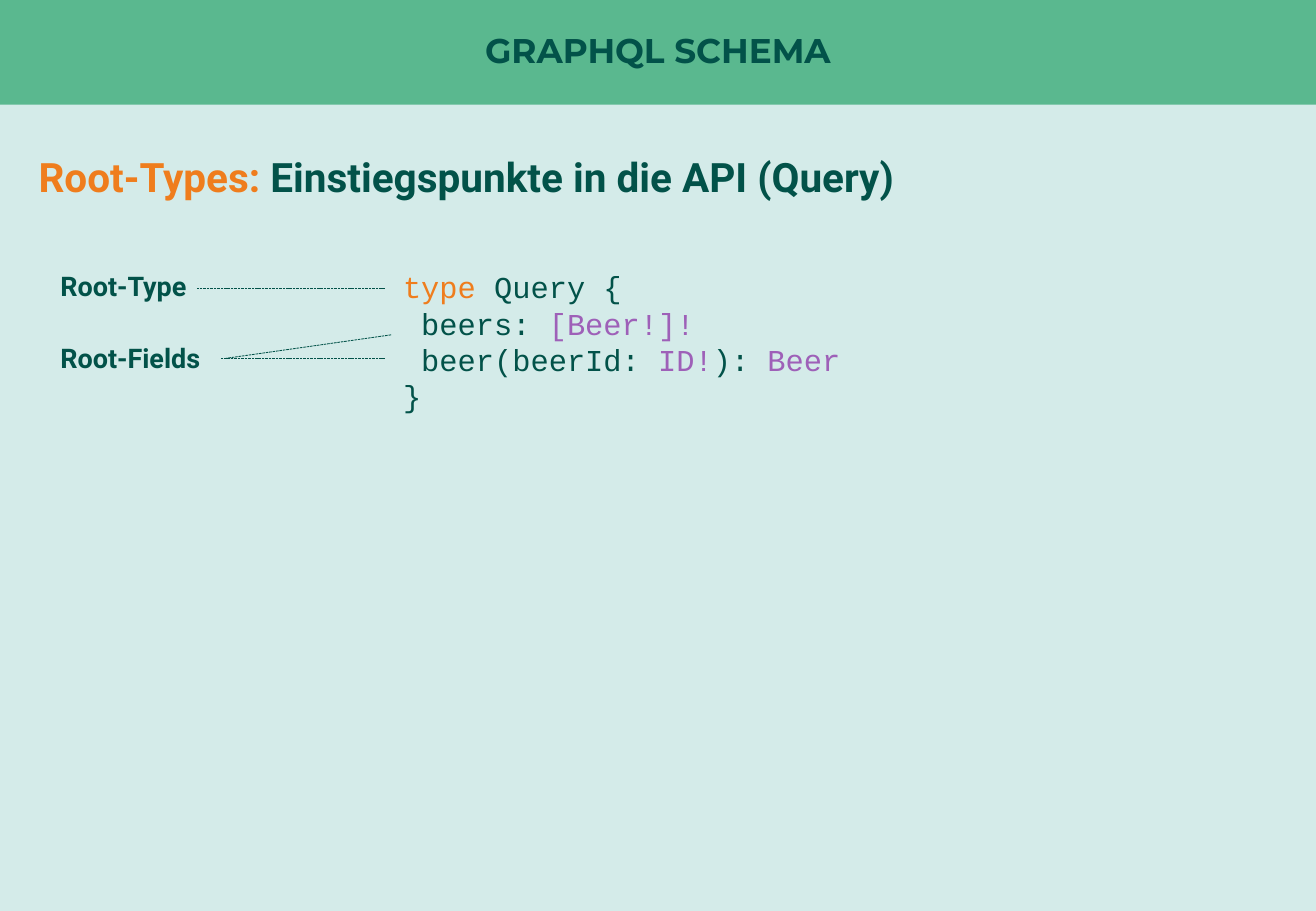
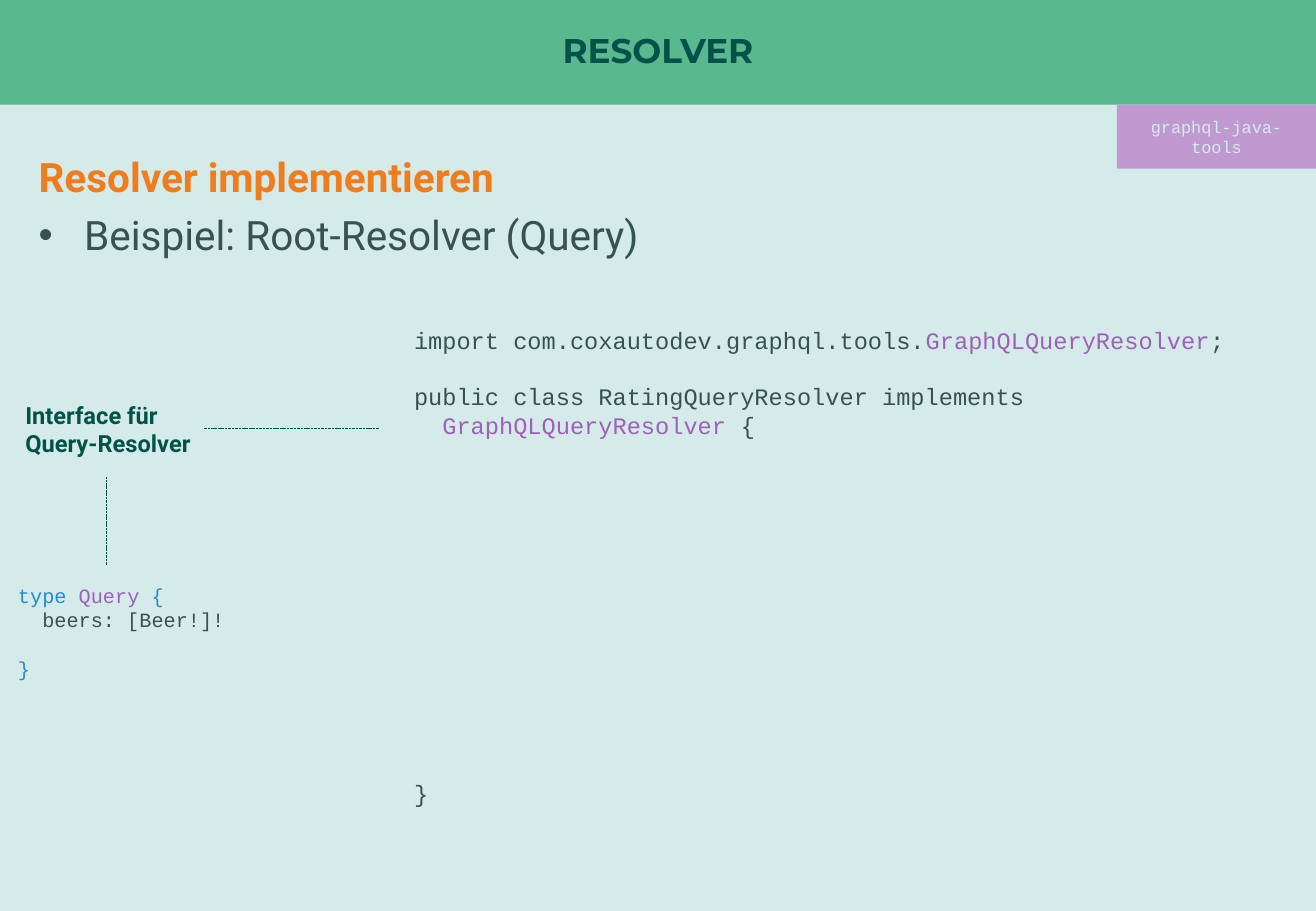
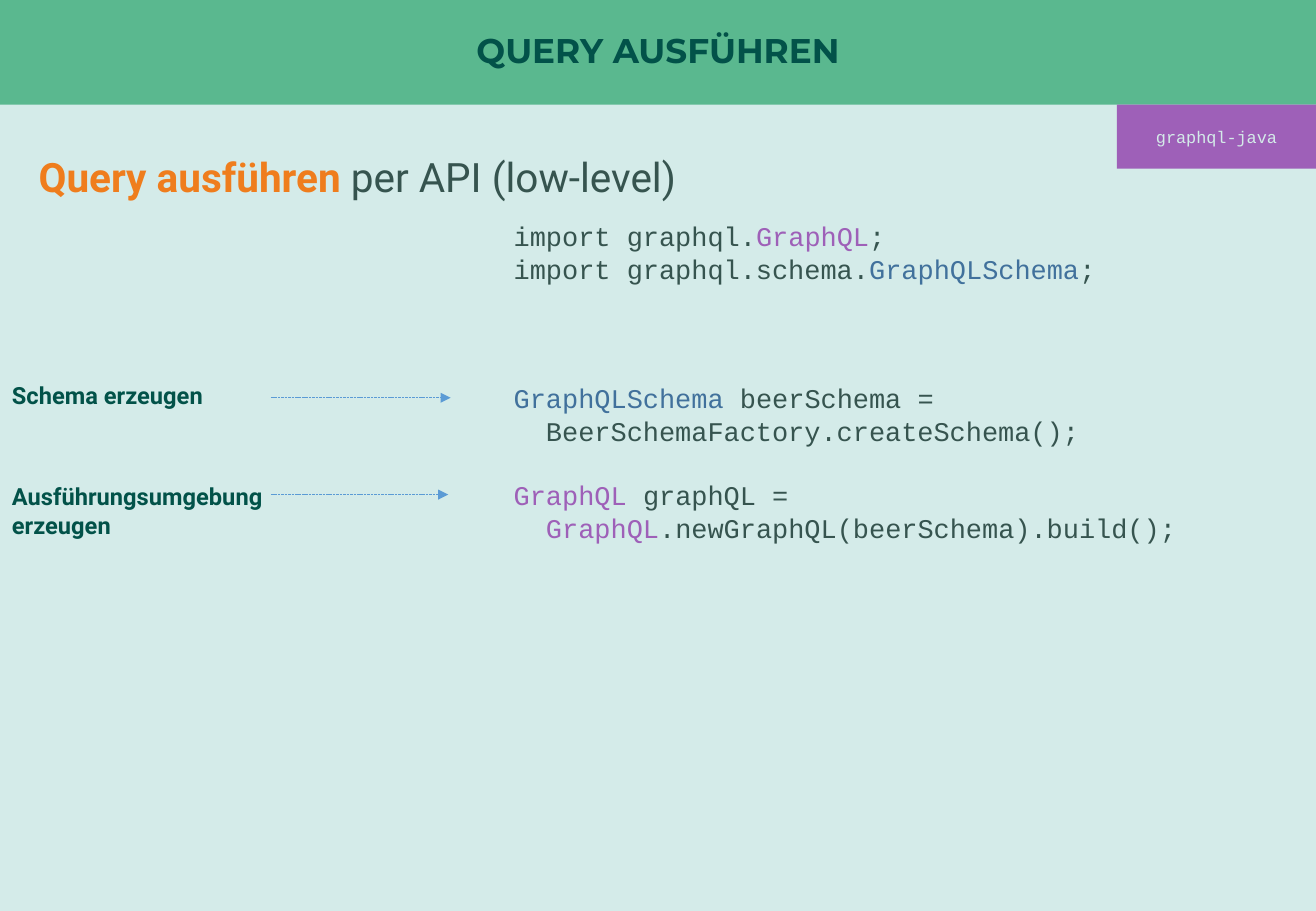
"""Build three slides on GraphQL schemas, resolvers and running queries."""
from lxml.etree import SubElement
from pptx import Presentation
from pptx.dml.color import RGBColor
from pptx.enum.dml import MSO_LINE
from pptx.enum.shapes import MSO_CONNECTOR, MSO_SHAPE
from pptx.enum.text import MSO_ANCHOR, PP_ALIGN
from pptx.oxml.ns import qn
from pptx.util import Pt

HUES = {
    "pale": "D4EBE9", "green": "5AB88F", "dark": "025249", "grey": "36544F",
    "orange": "EF7D1D", "plum": "9E60B8", "lilac": "C199D1",
    "blue": "268BD2", "steel": "41719C", "sky": "5B9BD5",
}
WIDE, HIGH, BAND = 780, 540, 62
CODE, BODY, HEAD = "Courier New", "Roboto", "Montserrat"
LEAD = 1.2


def hue(key):
    return RGBColor.from_string(HUES[key])


def write(shape, rows, size, face):
    frame = shape.text_frame
    frame.word_wrap = True
    for num, (gap, *parts) in enumerate(rows):
        para = frame.add_paragraph() if num else frame.paragraphs[0]
        if gap:
            para.space_before = Pt(round(gap * LEAD * size, 2))
        for text, key in parts:
            run = para.add_run()
            run.text = text
            run.font.size = Pt(size)
            run.font.name = face
            run.font.bold = face != CODE and key != "grey"
            run.font.color.rgb = hue(key)
    return frame


pages = [
    ("GRAPHQL SCHEMA", None, None, [
        (0, ("Root-Types: ", "orange"),
         ("Einstiegspunkte in die API (Query)", "dark")),
    ]),
    ("RESOLVER", "graphql-java-tools", "lilac", [
        (0, ("Resolver implementieren", "orange")),
        (0, ("Beispiel: Root-Resolver (Query)", "grey")),
    ]),
    ("QUERY AUSFÜHREN", "graphql-java", "plum", [
        (0, ("Query ausführen ", "orange"), ("per API (low-level)", "grey")),
    ]),
]

codes = [
    (0, 231.8, 155.5, 495, 138, 18, [
        (0, ("type", "orange"), (" Query {", "dark")),
        (0, (" beers: ", "dark"), ("[Beer!]!", "plum")),
        (0, (" beer(beerId: ", "dark"), ("ID!", "plum"), ("): ", "dark"),
         ("Beer", "plum")),
        (0, ("}", "dark")),
    ]),
    (1, 3.6, 342, 208, 65.5, 12, [
        (0, ("type ", "blue"), ("Query ", "plum"), ("{", "blue")),
        (0, ("  beers: [Beer!]!", "grey")),
        (1, ("}", "blue")),
    ]),
    (1, 238.3, 189.4, 527, 296, 14, [
        (0, ("import com.coxautodev.graphql.tools.", "grey"),
         ("GraphQLQueryResolver", "plum"), (";", "grey")),
        (1, ("public class RatingQueryResolver implements", "grey")),
        (0, ("  GraphQLQueryResolver", "plum"), (" {", "grey")),
        (12, ("}", "grey")),
    ]),
    (2, 297.4, 126.7, 480, 240, 16, [
        (0, ("import graphql.", "grey"), ("GraphQL", "plum"), (";", "grey")),
        (0, ("import graphql.schema.", "grey"), ("GraphQLSchema", "steel"),
         (";", "grey")),
        (3, ("GraphQLSchema ", "steel"), ("beerSchema =", "grey")),
        (0, ("  BeerSchemaFactory.createSchema();", "grey")),
        (1, ("GraphQL ", "plum"), ("graphQL =", "grey")),
        (0, ("  GraphQL", "plum"),
         (".newGraphQL(beerSchema).build();", "grey")),
    ]),
]

labels = [
    (0, 28.8, 156.2, 16, ["Root-Type"]),
    (0, 28.8, 198.7, 16, ["Root-Fields"]),
    (1, 7.9, 234, 14, ["Interface für", "Query-Resolver"]),
    (2, 0, 222.5, 14, ["Schema erzeugen"]),
    (2, 0, 282.2, 14, ["Ausführungsumgebung", "erzeugen"]),
]

lines = [
    (0, 228.2, 170.8, 116.6, 170.8, "dark"),
    (0, 228.2, 212.4, 131, 212.4, "dark"),
    (0, 231.8, 198.5, 133.9, 212.4, "dark"),
    (1, 224.6, 254, 121, 254, "dark"),
    (1, 63.2, 334.8, 63.2, 283, "dark"),
    (2, 160.6, 235.8, 267.1, 235.8, "sky"),
    (2, 160.6, 293.2, 265.7, 293.2, "sky"),
]

deck = Presentation()
deck.slide_width, deck.slide_height = Pt(WIDE), Pt(HIGH)
back = deck.slide_master.background.fill
back.solid()
back.fore_color.rgb = hue("pale")

slides = []
for title, tag, tint, rows in pages:
    slide = deck.slides.add_slide(deck.slide_layouts[6])
    slides.append(slide)
    bars = [(0, 0, WIDE, BAND, "green", title, "dark", 20.3, HEAD)]
    if tag:
        bars.append((662, BAND, 118, 38, tint, tag, "pale", 10, CODE))
    for left, top, width, height, fill, text, ink, size, face in bars:
        bar = slide.shapes.add_shape(
            MSO_SHAPE.RECTANGLE, Pt(left), Pt(top), Pt(width), Pt(height))
        bar.shadow.inherit = False
        bar.fill.solid()
        bar.fill.fore_color.rgb = hue(fill)
        bar.line.fill.background()
        frame = write(bar, [(0, (text, ink))], size, face)
        frame.vertical_anchor = MSO_ANCHOR.MIDDLE
        frame.paragraphs[0].alignment = PP_ALIGN.CENTER
        if face == HEAD:
            frame.margin_top = frame.margin_bottom = 0
            frame.paragraphs[0].line_spacing = 0.9

    box = slide.shapes.add_textbox(Pt(15.8), Pt(80.6), Pt(660), Pt(75))
    frame = write(box, rows, 24, BODY)
    for num, para in enumerate(frame.paragraphs):
        para.line_spacing = LEAD
        if num:
            props = para._p.get_or_add_pPr()
            props.set("marL", str(Pt(27)))
            props.set("indent", str(-Pt(27)))
            SubElement(props, qn("a:buFont")).set("typeface", "Arial")
            SubElement(props, qn("a:buChar")).set("char", "•")

for page, left, top, width, height, size, rows in codes:
    box = slides[page].shapes.add_textbox(
        Pt(left), Pt(top), Pt(width), Pt(height))
    write(box, rows, size, CODE)

for page, left, top, size, texts in labels:
    height = len(texts) * LEAD * size + 7.2
    box = slides[page].shapes.add_textbox(
        Pt(left), Pt(top), Pt(225), Pt(height))
    write(box, [(0, (text, "dark")) for text in texts], size, BODY)

for page, left, top, right, low, key in lines:
    link = slides[page].shapes.add_connector(
        MSO_CONNECTOR.STRAIGHT, Pt(left), Pt(top), Pt(right), Pt(low))
    link.line.color.rgb = hue(key)
    link.line.width = Pt(0.5)
    link.line.dash_style = MSO_LINE.SQUARE_DOT
    if key == "sky":
        SubElement(link.line._ln, qn("a:tailEnd")).set("type", "triangle")
    SubElement(link._element.spPr, qn("a:effectLst"))

deck.save("out.pptx")
